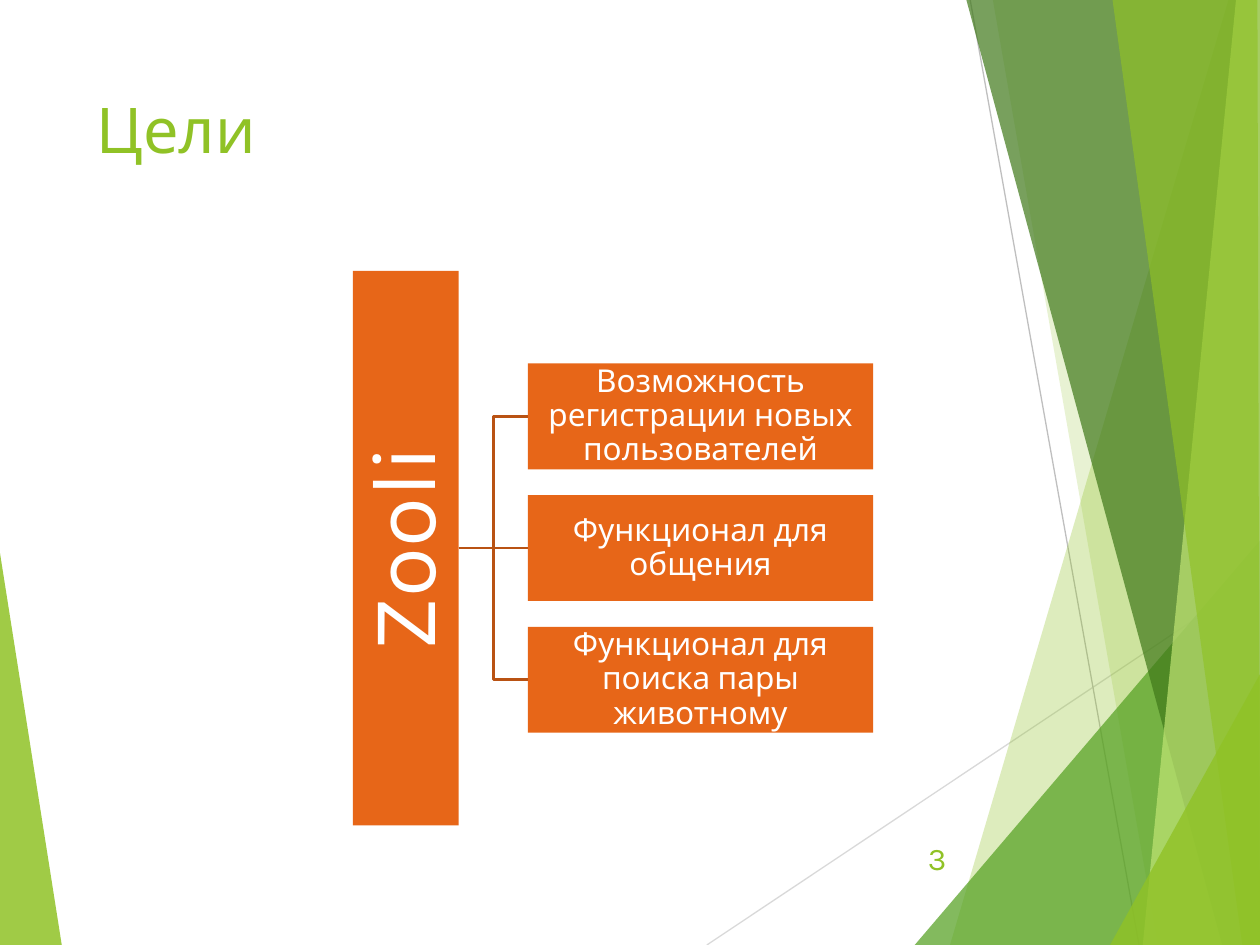
from lxml.etree import SubElement
from pptx import Presentation
from pptx.dml.color import RGBColor
from pptx.enum.shapes import MSO_CONNECTOR, MSO_SHAPE
from pptx.enum.text import MSO_ANCHOR, PP_ALIGN
from pptx.oxml.ns import qn
from pptx.util import Inches, Pt

FONT = "Karla"
GREEN, ORANGE, RUST, WHITE = "90C226", "E76618", "B95213", "FFFFFF"
TITLE = "Цели"
NAME = "Zooli"
GOALS = [
    "Возможность регистрации новых пользователей",
    "Функционал для общения",
    "Функционал для поиска пары животному",
]
# Corner points, colour, opacity in percent
LEFT_FACET = ([(0, 4.39), (0.49, 7.5), (0, 7.5)], GREEN, 85)
RAYS = [
    ((5.61, 7.5), (10, 4.57), "D9D9D9"),
    ((7.7, 0), (9.04, 7.5), "BFBFBF"),
]
FACETS = [
    ([(9.75, 0), (7.54, 7.5), (10, 7.5), (10, 0)], GREEN, 30),
    ([(7.88, 0), (9.19, 7.5), (10, 7.5), (10, 0)], GREEN, 20),
    ([(7.26, 7.5), (10, 4.29), (10, 7.5)], "54A021", 72),
    ([(7.67, 0), (9.7, 7.5), (10, 7.5), (10, 0)], "3F7819", 70),
    ([(9.81, 0), (9.07, 7.5), (10, 7.5), (10, 0)], "C0E474", 70),
    ([(8.83, 0), (9.86, 7.5), (10, 7.5), (9.98, 0)], GREEN, 65),
    ([(8.81, 7.5), (10, 5.35), (10, 7.5)], GREEN, 80),
]

BOX_W, BOX_H, STEP = 2.74, 0.84, 1.045
BAR_LEN, BAR_RIGHT, BOX_LEFT, MID = 4.4, 3.64, 4.19, 4.35


def rgb(text):
    return RGBColor.from_string(text)


def paint(shape, color):
    shape.shadow.inherit = False
    shape.fill.solid()
    shape.fill.fore_color.rgb = rgb(color)
    shape.line.fill.background()


def facet(points, color, alpha):
    """Draw a see-through polygon."""
    spots = [(Inches(x), Inches(y)) for x, y in points]
    pen = shapes.build_freeform(*spots[0])
    pen.add_line_segments(spots[1:], close=True)
    shape = pen.convert_to_shape()
    paint(shape, color)
    tint = shape.fill._xPr.find(qn("a:solidFill"))[0]
    SubElement(tint, qn("a:alpha")).set("val", str(alpha * 1000))


def link(kind, start, end, color, width):
    line = shapes.add_connector(kind, *map(Inches, start + end))
    line.line.color.rgb = rgb(color)
    line.line.width = Pt(width)
    SubElement(line._element.spPr, qn("a:effectLst"))
    return line


def write(shape, text, size, color, align, anchor):
    frame = shape.text_frame
    frame.word_wrap = True
    frame.vertical_anchor = anchor
    para = frame.paragraphs[0]
    para.alignment = align
    run = para.add_run()
    run.text = text
    run.font.size = Pt(size)
    run.font.name = FONT
    run.font.color.rgb = rgb(color)


def label(text, left, top, width, height, size, align, anchor):
    box = shapes.add_textbox(*map(Inches, (left, top, width, height)))
    write(box, text, size, GREEN, align, anchor)


def block(text, left, mid, width, size, inset):
    """Add an orange box whose middle height is mid."""
    spot = map(Inches, (left, mid - BOX_H / 2, width, BOX_H))
    box = shapes.add_shape(MSO_SHAPE.RECTANGLE, *spot)
    paint(box, ORANGE)
    write(box, text, size, WHITE, PP_ALIGN.CENTER, MSO_ANCHOR.MIDDLE)
    frame = box.text_frame
    frame.margin_left = frame.margin_right = Inches(inset)
    frame.margin_top = frame.margin_bottom = Inches(inset)
    frame.paragraphs[0].line_spacing = 0.9
    return box


deck = Presentation()
deck.slide_width, deck.slide_height = Inches(10), Inches(7.5)
shapes = deck.slides.add_slide(deck.slide_layouts[6]).shapes

facet(*LEFT_FACET)
for start, end, color in RAYS:
    link(MSO_CONNECTOR.STRAIGHT, start, end, color, 0.75)
for item in FACETS:
    facet(*item)

label(TITLE, 0.67, 0.67, 6.94, 1.44, 36, PP_ALIGN.LEFT, MSO_ANCHOR.TOP)

# The bar is turned about its centre, so its bottom side faces the goals
bar = block(NAME, BAR_RIGHT - BOX_H / 2 - BAR_LEN / 2, MID, BAR_LEN, 52, 0.04)
bar.rotation = 270
for i, goal in enumerate(GOALS):
    mid = MID + (i - 1) * STEP
    box = block(goal, BOX_LEFT, mid, BOX_W, 18, 0.01)
    kind = MSO_CONNECTOR.STRAIGHT if mid == MID else MSO_CONNECTOR.ELBOW
    line = link(kind, (BAR_RIGHT, MID), (BOX_LEFT, mid), RUST, 1.5)
    if mid == MID:
        line.begin_connect(bar, 2)
        line.end_connect(box, 1)
        # Connecting ignores the turn, so set the start again
        line.begin_x, line.begin_y = Inches(BAR_RIGHT), Inches(MID)

label("3", 7.05, 6.61, 0.56, 0.4, 18, PP_ALIGN.RIGHT, MSO_ANCHOR.MIDDLE)

deck.save("out.pptx")
